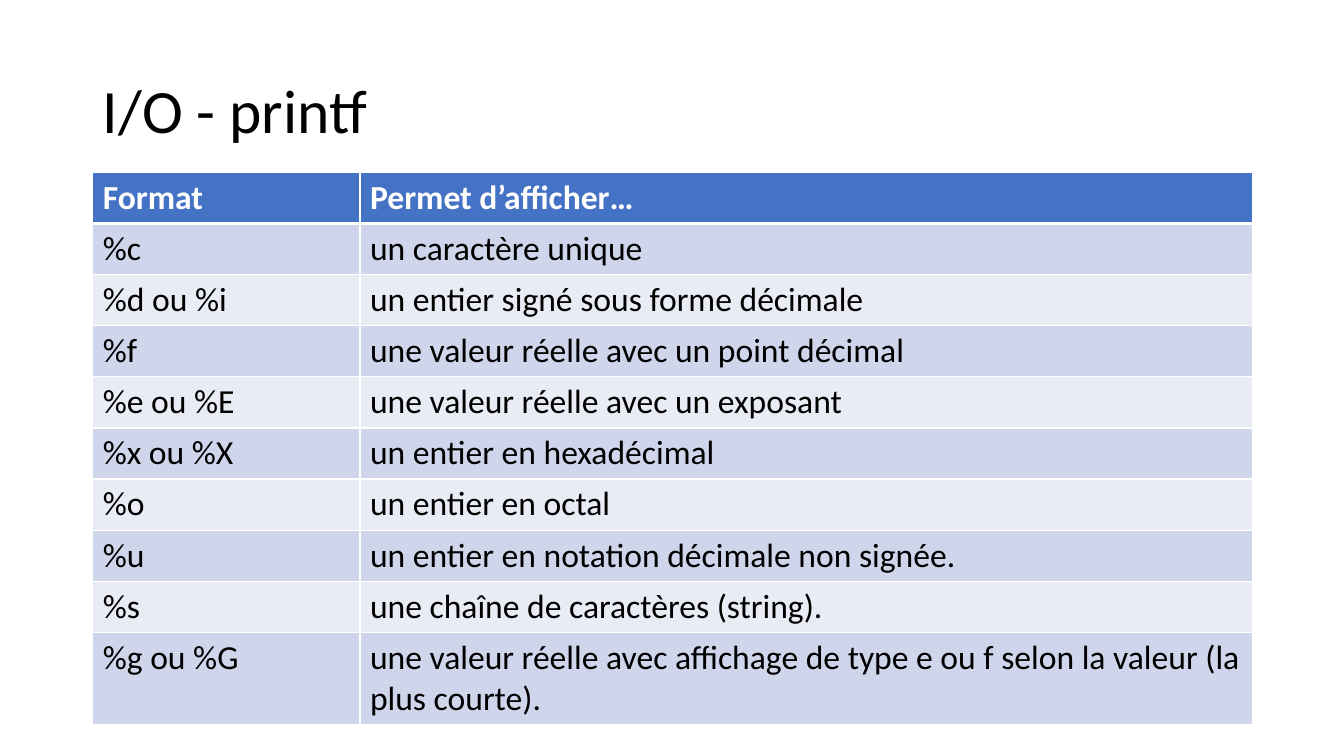
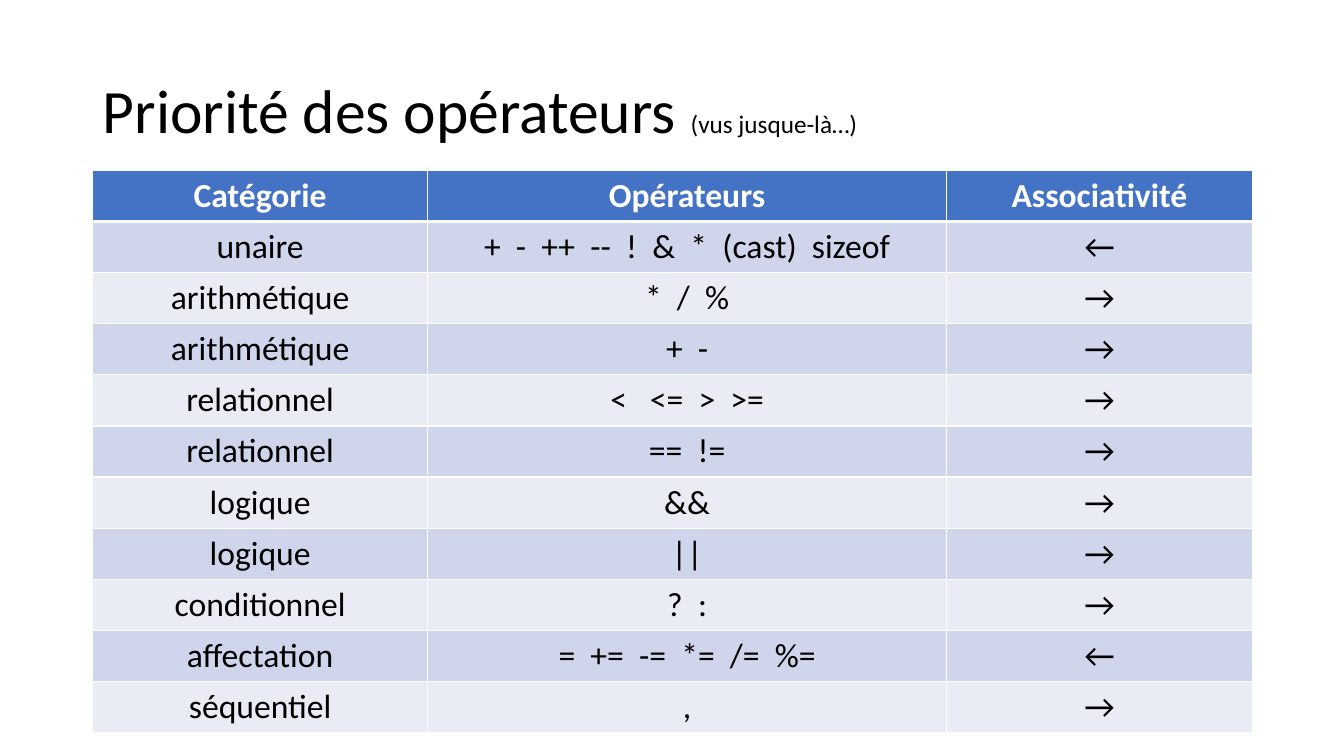
"""Build two slides of C reference tables: printf formats and operator priority."""
from lxml import etree
from pptx import Presentation
from pptx import util as u
from pptx.dml import color
from pptx.enum import text
from pptx.oxml import ns

COLOURS = {"header": "4472C4", "odd": "CFD5EA", "even": "E9EBF5",
           "rule": "FFFFFF", "header_text": "FFFFFF", "body_text": "000000"}
FONT = "Calibri"
LEFT, WIDTH, ROW_HEIGHT = 0.92, 11.5, 0.5
TITLE_BOX = {"left": LEFT, "top": 0.4, "width": WIDTH, "height": 1.45}
TITLE_FRAME = {"vertical_anchor": text.MSO_ANCHOR.MIDDLE, "word_wrap": True,
               "auto_size": text.MSO_AUTO_SIZE.NONE}

SLIDES = [
    {
        "title": [("I/O - printf", 44)],
        "top": 1.71,
        "columns": [2.65, 8.85],
        "align": text.PP_ALIGN.LEFT,
        "rows": [
            ("Format", "Permet d’afficher…"),
            ("%c", "un caractère unique"),
            ("%d ou %i", "un entier signé sous forme décimale"),
            ("%f", "une valeur réelle avec un point décimal"),
            ("%e ou %E", "une valeur réelle avec un exposant"),
            ("%x ou %X", "un entier en hexadécimal"),
            ("%o", "un entier en octal"),
            ("%u", "un entier en notation décimale non signée."),
            ("%s", "une chaîne de caractères (string)."),
            ("%g ou %G", "une valeur réelle avec affichage de type e ou f "
                         "selon la valeur (la plus courte)."),
        ],
    },
    {
        "title": [("Priorité des opérateurs ", 44), ("(vus jusque-là…)", 18)],
        "top": 1.69,
        "columns": [3.32, 5.15, 3.03],
        "align": text.PP_ALIGN.CENTER,
        "rows": [
            ("Catégorie", "Opérateurs", "Associativité"),
            ("unaire", "+  -  ++  --  !  &  *  (cast)  sizeof", "←"),
            ("arithmétique", "*  /  %", "→"),
            ("arithmétique", "+  -", "→"),
            ("relationnel", "<   <=  >  >=", "→"),
            ("relationnel", "==  !=", "→"),
            ("logique", "&&", "→"),
            ("logique", "||", "→"),
            ("conditionnel", "?  :", "→"),
            ("affectation", "=  +=  -=  *=  /=  %=", "←"),
            ("séquentiel", ",", "→"),
        ],
    },
]


def add_run(paragraph, wording, size, colour, bold=False):
    run = paragraph.add_run()
    run.text = wording
    for name, value in {"name": FONT, "size": u.Pt(size), "bold": bold}.items():
        setattr(run.font, name, value)
    run.font.color.rgb = color.RGBColor.from_string(COLOURS[colour])


def add_borders(cell, points):
    properties = cell._tc.get_or_add_tcPr()
    for side, width in points.items():
        line = etree.SubElement(properties, ns.qn(f"a:ln{side}"), w=str(u.Pt(width)))
        fill = etree.SubElement(line, ns.qn("a:solidFill"))
        etree.SubElement(fill, ns.qn("a:srgbClr"), val=COLOURS["rule"])


deck = Presentation()
deck.slide_width, deck.slide_height = u.Inches(13.33), u.Inches(7.5)
title_only = deck.slide_layouts[5]

for content in SLIDES:
    slide = deck.slides.add_slide(title_only)
    title = slide.shapes.title
    for name, value in TITLE_BOX.items():
        setattr(title, name, u.Inches(value))
    for name, value in TITLE_FRAME.items():
        setattr(title.text_frame, name, value)
    heading = title.text_frame.paragraphs[0]
    heading.alignment, heading.line_spacing = text.PP_ALIGN.LEFT, 0.9
    for wording, size in content["title"]:
        add_run(heading, wording, size, "body_text")

    rows, columns = content["rows"], content["columns"]
    table = slide.shapes.add_table(
        len(rows), len(columns), u.Inches(LEFT), u.Inches(content["top"]),
        u.Inches(WIDTH), u.Inches(ROW_HEIGHT * len(rows))).table
    for column, width in zip(table.columns, columns):
        column.width = u.Inches(width)

    for r, row in enumerate(rows):
        is_header = r == 0
        band = "header" if is_header else "odd" if r % 2 else "even"
        ink = "header_text" if is_header else "body_text"
        borders = {"L": 1, "R": 1, "T": 3 if r == 1 else 1, "B": 3 if is_header else 1}
        for c, wording in enumerate(row):
            cell = table.cell(r, c)
            add_borders(cell, borders)
            cell.fill.solid()
            cell.fill.fore_color.rgb = color.RGBColor.from_string(COLOURS[band])
            entry = cell.text_frame.paragraphs[0]
            entry.alignment = content["align"]
            add_run(entry, wording, 24, ink, is_header)

deck.save("out.pptx")
